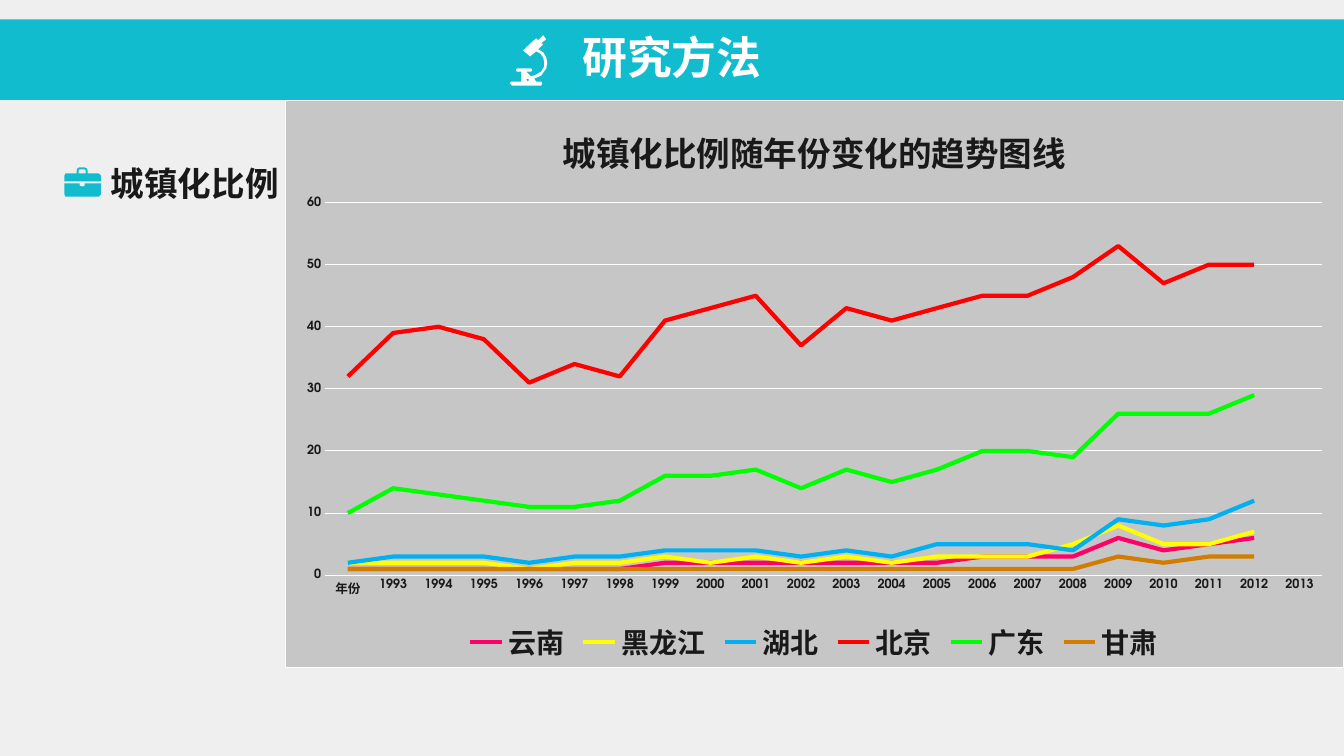
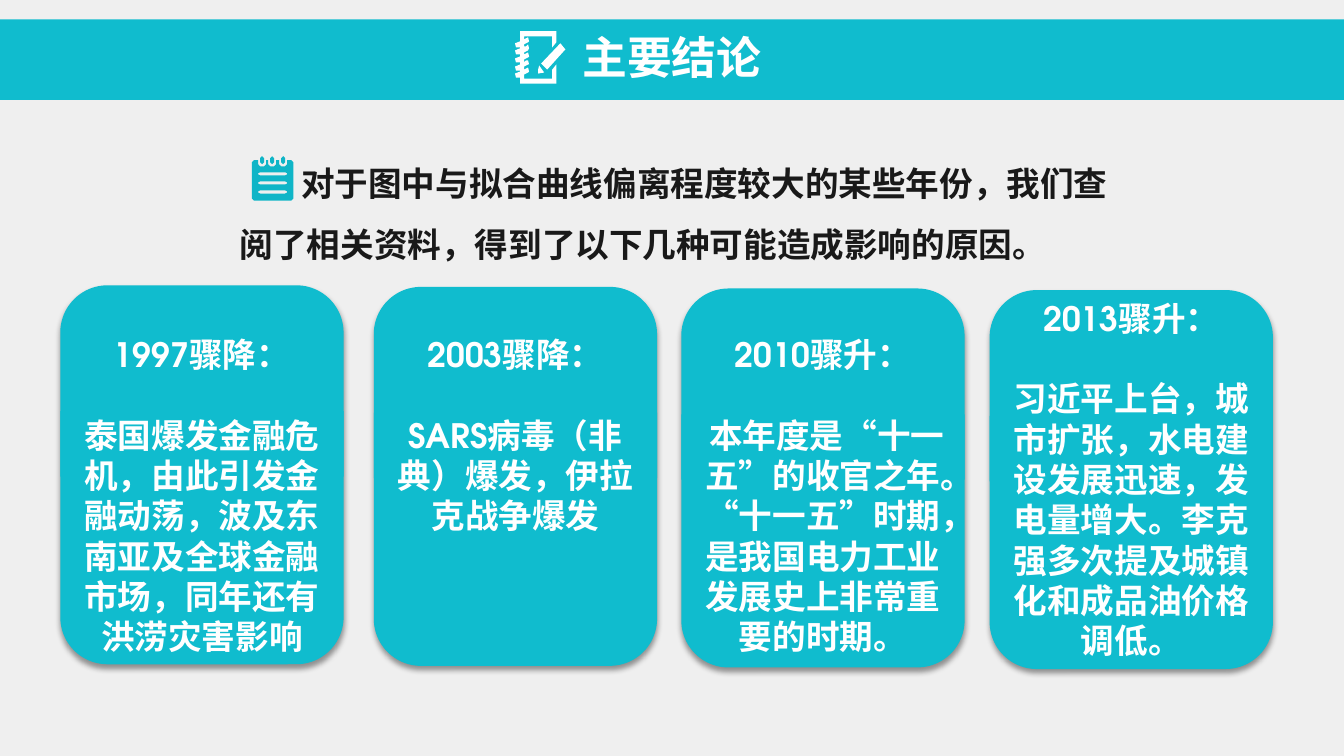
import pptx
import pptx.util
import pptx.chart.data
import pptx.dml.color
import pptx.enum.chart
import pptx.enum.shapes
import pptx.enum.text
import pptx.oxml
import pptx.oxml.ns
import lxml.etree

Cm, Pt = pptx.util.Cm, pptx.util.Pt
qn, rgb = pptx.oxml.ns.qn, pptx.dml.color.RGBColor.from_string
kind = pptx.enum.shapes.MSO_SHAPE
mid = pptx.enum.text.PP_ALIGN.CENTER

hue = {"teal": "10BCCE", "deep": "0FB5C7", "page": "EFEFEF", "ink": "191919",
       "white": "FFFFFF", "grey": "C6C6C6"}
face = {"name": "TeX Gyre Adventor", "bold": True}


def style(font, size, tone):
    for key, val in dict(face, size=Pt(size)).items():
        setattr(font, key, val)
    font.color.rgb = rgb(hue[tone])


def draw(slide, tone, rings):
    # Ring points are hundredths of an inch
    pen = slide.shapes.build_freeform(*rings[0][0], scale=Cm(0.0254))
    for num, ring in enumerate(rings):
        if num:
            pen.move_to(*ring[0])
        pen.add_line_segments(ring[1:], close=True)
    icon = pen.convert_to_shape()
    icon.shadow.inherit = False
    icon.fill.solid()
    icon.fill.fore_color.rgb = rgb(hue[tone])
    icon.line.fill.background()


# Deck and shared background
deck = pptx.Presentation()
deck.slide_width, deck.slide_height = Cm(33.87), Cm(19.05)
back = deck.slide_master.background.fill
back.solid()
back.fore_color.rgb = rgb(hue["page"])

# Title bands
pages = []
for head in ("研究方法", "主要结论"):
    page = deck.slides.add_slide(deck.slide_layouts[6])
    band = page.shapes.add_shape(kind.RECTANGLE, 0, Cm(0.49), Cm(33.87), Cm(2.03))
    band.shadow.inherit = False
    band.fill.solid()
    band.fill.fore_color.rgb = rgb(hue["teal"])
    band.line.fill.background()
    band.text_frame.vertical_anchor = pptx.enum.text.MSO_ANCHOR.MIDDLE
    para = band.text_frame.paragraphs[0]
    para.text, para.alignment, para.line_spacing = head, mid, 0.9
    style(para.runs[0].font, 32, "white")
    pages.append(page)
trend, close = pages

# Microscope
draw(trend, "white", [
    [(522, 71), (527, 76), (532, 74), (537, 71), (540, 66), (540, 62),
     (539, 57), (536, 53), (532, 51), (526, 56), (519, 50), (532, 38),
     (534, 40), (539, 35), (542, 39), (537, 43), (539, 44), (534, 49),
     (539, 52), (542, 57), (543, 62), (542, 68), (537, 75), (530, 78),
     (532, 81), (537, 81), (538, 82), (538, 83), (537, 85), (508, 85),
     (506, 83), (506, 82), (508, 81), (517, 81), (517, 71), (513, 71),
     (512, 70), (512, 69), (513, 68), (527, 68), (528, 69), (528, 70),
     (527, 71)],
    [(522, 79), (524, 81), (525, 79), (524, 78)]])

# Briefcase and its label
draw(trend, "teal", [
    [(64, 180), (64, 174), (65, 172), (76, 172), (76, 169), (77, 167),
     (79, 166), (84, 166), (86, 167), (87, 169), (87, 172), (98, 172),
     (100, 174), (100, 180)],
    [(78, 172), (78, 169), (79, 168), (84, 168), (85, 169), (85, 172)],
    [(64, 182), (79, 182), (79, 184), (81, 185), (83, 185), (84, 184),
     (84, 182), (100, 182), (100, 193), (98, 195), (65, 195), (64, 193)]])
label = trend.shapes.add_textbox(Cm(2.54), Cm(3.99), Cm(6.43), Cm(1.27))
label.text_frame.word_wrap = True
para = label.text_frame.paragraphs[0]
para.text = "城镇化比例"
style(para.runs[0].font, 24, "ink")

# Line chart
lines = [
    ("云南", "FF0066", [1] * 7 + [2] * 7 + [3, 3, 3, 6, 4, 5, 6]),
    ("黑龙江", "FFFF00", [2, 2, 2, 2, 1, 2, 2, 3, 2, 3, 2, 3, 2, 3, 3, 3, 5, 8, 5, 5, 7]),
    ("湖北", "00B0F0", [2, 3, 3, 3, 2, 3, 3, 4, 4, 4, 3, 4, 3, 5, 5, 5, 4, 9, 8, 9, 12]),
    ("北京", "FF0000", [32, 39, 40, 38, 31, 34, 32, 41, 43, 45, 37, 43, 41, 43, 45, 45,
                      48, 53, 47, 50, 50]),
    ("广东", "00FF00", [10, 14, 13, 12, 11, 11, 12, 16, 16, 17, 14, 17, 15, 17, 20, 20,
                      19, 26, 26, 26, 29]),
    ("甘肃", "D27D00", [1] * 17 + [3, 2, 3, 3]),
]
data = pptx.chart.data.CategoryChartData()
data.categories = ["年份"] + [str(year) for year in range(1993, 2014)]
for name, tone, vals in lines:
    data.add_series(name, vals)
chart = trend.shapes.add_chart(
    pptx.enum.chart.XL_CHART_TYPE.LINE, Cm(7.17), Cm(2.52), Cm(26.7), Cm(14.32),
    data).chart
style(chart.font, 10, "white")
chart.font.bold = False
for line, (name, tone, vals) in zip(chart.plots[0].series, lines):
    line.smooth = False
    line.format.line.width = Pt(3)
    line.format.line.color.rgb = rgb(tone)
chart.plots[0].vary_by_categories = False

# Chart title, legend and axes
chart.has_title = True
chart.chart_title.include_in_layout = False
para = chart.chart_title.text_frame.paragraphs[0]
para.text = "城镇化比例随年份变化的趋势图线"
style(para.runs[0].font, 24, "ink")
chart.has_legend = True
chart.legend.position = pptx.enum.chart.XL_LEGEND_POSITION.BOTTOM
chart.legend.include_in_layout = False
style(chart.legend.font, 20, "ink")
years, share = chart.category_axis, chart.value_axis
share.minimum_scale, share.maximum_scale, share.major_unit = 0, 60, 10
share.has_major_gridlines = True
for axis in (years, share):
    axis.major_tick_mark = pptx.enum.chart.XL_TICK_MARK.NONE
    style(axis.tick_labels.font, 9, "ink")
for rule in (years.format.line, share.major_gridlines.format.line):
    rule.width = Pt(0.75)
    rule.color.rgb = rgb(hue["white"])
share.format.line.fill.background()

# Chart fill, border and plot place
space = chart._chartSpace
plot = space.find(".//" + qn("c:plotArea"))
wash = '<a:solidFill><a:srgbClr val="%s"/></a:solidFill>'
edge = '<a:ln w="9525">' + wash % hue["white"] + "</a:ln>"
skin = "<c:spPr " + pptx.oxml.ns.nsdecls("c", "a") + ">" + wash % hue["grey"] + "%s</c:spPr>"
space.find(qn("c:txPr")).addprevious(pptx.oxml.parse_xml(skin % edge))
plot.append(pptx.oxml.parse_xml(skin % ""))
for old in plot.findall(qn("c:layout")):
    plot.remove(old)
place = lxml.etree.Element(qn("c:layout"))
box = lxml.etree.SubElement(place, qn("c:manualLayout"))
for tag, val in (("layoutTarget", "inner"), ("xMode", "edge"), ("yMode", "edge"),
                 ("x", "0.038"), ("y", "0.18"), ("w", "0.942"), ("h", "0.657")):
    lxml.etree.SubElement(box, qn("c:" + tag)).set("val", val)
plot.insert(0, place)

# Notebook with pencil
coil = [(x, y + 7.5 * i) for i in range(5) for x, y in (
    (520, 39), (522, 38), (524, 37), (525, 41), (524, 42), (520, 44))]
hook = [(x, y - 7.5 * i) for i in range(5) for x, y in (
    (516, 77), (512, 77), (511, 73), (516, 71))]
draw(close, "white", [
    [(516, 31), (552, 31), (552, 42), (548, 47), (548, 36), (520, 36)] + coil
    + [(520, 78), (548, 78), (548, 69), (552, 64), (552, 83), (516, 83)] + hook,
    [(534, 73), (540, 72), (535, 65), (534, 69)],
    [(556, 43), (537, 63), (543, 69), (561, 49)]])

# Lead text
lead = close.shapes.add_textbox(Cm(5.79), Cm(3.48), Cm(22.78), Cm(3.15))
lead.text_frame.word_wrap = True
para = lead.text_frame.paragraphs[0]
para.text = "对于图中与拟合曲线偏离程度较大的某些年份，我们查阅了相关资料，得到了以下几种可能造成影响的原因。"
para.line_spacing = 1.5
para._p.get_or_add_pPr().set("indent", str(Cm(1.55)))
style(para.runs[0].font, 24, "ink")

# Cause cards: left, text top, heading, body
cards = [
    (1.52, 8.28, "1997骤降：", "泰国爆发金融危机，由此引发金融动荡，波及东南亚及全球金融市场，同年还有洪涝灾害影响"),
    (9.42, 8.28, "2003骤降：", "SARS病毒（非典）爆发，伊拉克战争爆发"),
    (17.17, 8.28, "2010骤升：", " 本年度是“十一五”的收官之年。“十一五”时期，是我国电力工业发展史上非常重要的时期。"),
    (24.94, 7.37, "2013骤升：", "习近平上台，城市扩张，水电建设发展迅速，发电量增大。李克强多次提及城镇化和成品油价格调低。"),
]
wide = Cm(7.14)
for num, (left, top, head, body) in enumerate(cards):
    high = 7.19 + 0.04 * num
    group = close.shapes.add_group_shape()
    for form, y, tall in ((kind.ROUNDED_RECTANGLE, high, 9.55),
                          (kind.RECTANGLE, high + 3.17, 1.65)):
        card = group.shapes.add_shape(form, Cm(left), Cm(y), wide, Cm(tall))
        card.shadow.inherit = False
        card.fill.solid()
        card.fill.fore_color.rgb = rgb(hue["teal"])
        card.line.fill.background()
        if form == kind.ROUNDED_RECTANGLE:
            glow = lxml.etree.SubElement(
                card._element.spPr.find(qn("a:effectLst")), qn("a:outerShdw"),
                blurRad=str(Pt(4)), dist=str(Pt(3)), dir="5400000", rotWithShape="0")
            dark = lxml.etree.SubElement(glow, qn("a:srgbClr"), val="000000")
            lxml.etree.SubElement(dark, qn("a:alpha"), val="40000")
    note = close.shapes.add_textbox(Cm(left), Cm(top), wide, Cm(high + 9.55 - top))
    note.text_frame.word_wrap = True
    note.text_frame.text = head + "\n" + body
    for para in note.text_frame.paragraphs:
        para.alignment = mid
        style(para.runs[0].font, 24, "white")
    note.text_frame.paragraphs[0].space_after = Pt(29)

# Notepad with rings and ruled lines
page = [(250, 161), (252, 159)]
slots, tabs = [], []
for x in (260, 270, 281):
    page += [(x - 4, 159), (x - 4, 163), (x - 2, 165), (x + 2, 165), (x + 4, 163),
             (x + 4, 159)]
    tabs.append([(x - 2, 157), (x, 155), (x + 2, 157), (x + 2, 161), (x, 163),
                 (x - 2, 161)])
for y in (171, 180, 189):
    slots.append([(258, y), (256, y + 1), (256, y + 2), (258, y + 3), (283, y + 3),
                  (285, y + 2), (285, y + 1), (283, y)])
page += [(289, 159), (291, 161), (291, 197), (289, 199), (252, 199), (250, 197)]
draw(close, "deep", [page] + slots + tabs)

deck.save("out.pptx")
